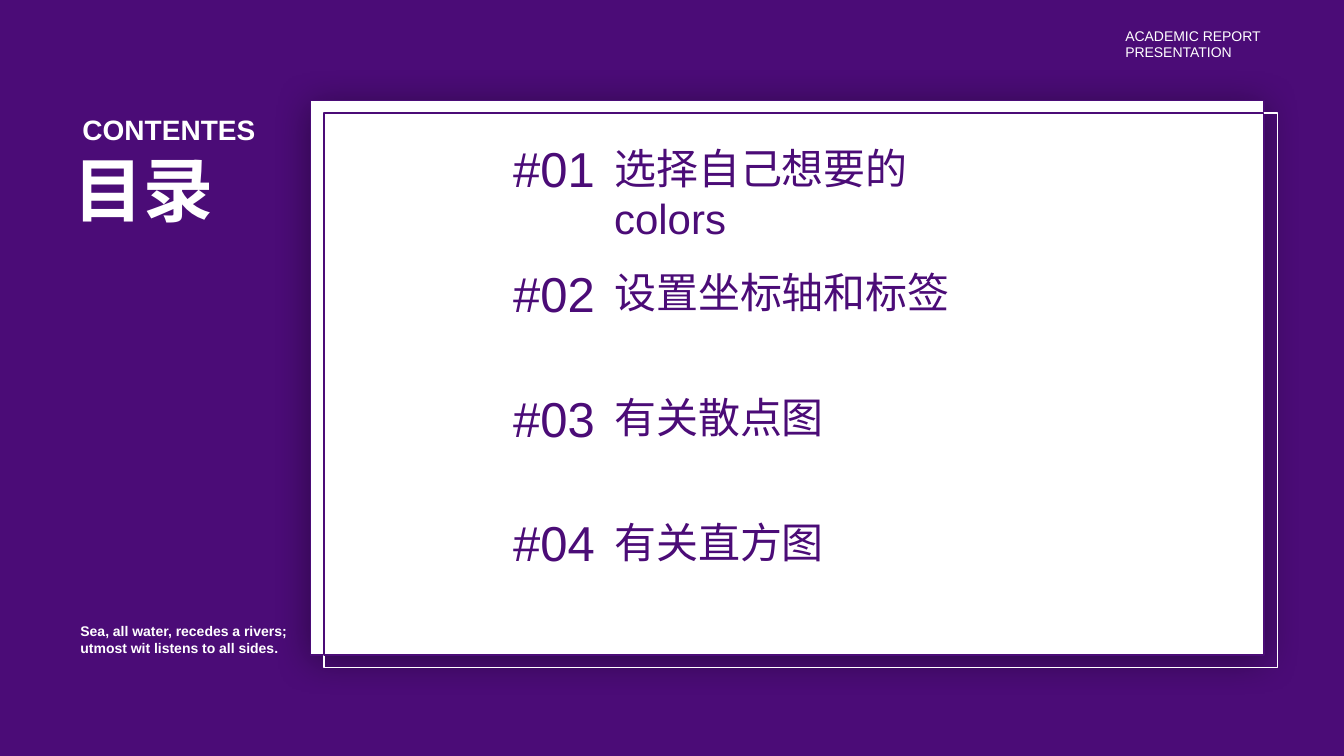
from dataclasses import dataclass

from lxml import etree
from pptx import Presentation
from pptx.dml.color import RGBColor
from pptx.enum.shapes import MSO_SHAPE
from pptx.enum.text import MSO_ANCHOR, MSO_AUTO_SIZE, PP_ALIGN
from pptx.oxml import parse_xml
from pptx.oxml.ns import qn
from pptx.util import Pt

RECTANGLE = MSO_SHAPE.RECTANGLE
LEFT, JUSTIFY = PP_ALIGN.LEFT, PP_ALIGN.JUSTIFY
TOP = MSO_ANCHOR.TOP
NO_AUTOFIT = MSO_AUTO_SIZE.NONE
COMPARISON_LAYOUT = 4  # a title and four body placeholders

PANEL_SHADOW = """
<a:effectLst xmlns:a="http://schemas.openxmlformats.org/drawingml/2006/main">
  <a:outerShdw blurRad="{blur}" dist="{distance}" dir="5400000" algn="t" rotWithShape="0">
    <a:srgbClr val="000000"><a:alpha val="40000"/></a:srgbClr>
  </a:outerShdw>
</a:effectLst>"""


@dataclass(frozen=True)
class Theme:
    font: str = "Arial"
    purple: RGBColor = RGBColor(0x4B, 0x0C, 0x77)
    white: RGBColor = RGBColor(0xFF, 0xFF, 0xFF)
    title: int = 50
    number: int = 35
    topic: int = 30
    subtitle: int = 20
    caption: int = 10


class ContentsSlide:
    """Holds the theme and the slide that the methods draw on."""

    def __init__(self, presentation, theme):
        self.theme = theme
        self.slide = presentation.slides.add_slide(
            presentation.slide_layouts[COMPARISON_LAYOUT])
        background = self.slide.background.fill
        background.solid()
        background.fore_color.rgb = theme.purple

    def rectangle(self, box, line, fill=None):
        shape = self.slide.shapes.add_shape(RECTANGLE, *map(Pt, box))
        shape.shadow.inherit = False
        if fill is None:
            shape.fill.background()
        else:
            shape.fill.solid()
            shape.fill.fore_color.rgb = fill
        shape.line.color.rgb = line
        shape.line.width = Pt(1)
        return shape

    def cast_shadow(self, shape):
        properties = shape.element.spPr
        properties.remove(properties.find(qn("a:effectLst")))
        properties.append(parse_xml(
            PANEL_SHADOW.format(blur=Pt(27), distance=Pt(3))))

    def text(self, box, text, size, color, **options):
        shape = self.slide.shapes.add_textbox(*map(Pt, box))
        self.set_text(shape, text, size, color, **options)

    def placeholder(self, shape, box, text, size, color, **options):
        """Move a placeholder to the front and to its box, then fill it."""
        shape.element.getparent().append(shape.element)
        for name, value in zip(("left", "top", "width", "height"), box):
            setattr(shape, name, Pt(value))
        self.set_text(shape, text, size, color, **options)
        for paragraph in shape.text_frame.paragraphs:
            properties = paragraph._p.get_or_add_pPr()
            properties.set("marL", "0")
            properties.set("indent", "0")
            etree.SubElement(properties, qn("a:buNone"))

    def set_text(self, shape, text, size, color, bold=False, align=LEFT, wrap=False):
        frame = shape.text_frame
        frame.text = text
        frame_format = {
            "margin_left": 0, "margin_top": 0,
            "margin_right": 0, "margin_bottom": 0,
            "word_wrap": wrap, "auto_size": NO_AUTOFIT, "vertical_anchor": TOP,
        }
        paragraph_format = {"alignment": align, "space_before": Pt(0)}
        font_format = {"name": self.theme.font, "size": Pt(size), "bold": bold}
        for name, value in frame_format.items():
            setattr(frame, name, value)
        for paragraph in frame.paragraphs:
            for name, value in paragraph_format.items():
                setattr(paragraph, name, value)
            for run in paragraph.runs:
                for name, value in font_format.items():
                    setattr(run.font, name, value)
                run.font.color.rgb = color


def draw_panel(page):
    theme = page.theme
    left, top, width, height = 221.8, 72, 681, 396
    shift_x, shift_y = 9.8, 8.8
    shifted = (left + shift_x, top + shift_y)
    panel = page.rectangle((left, top, width, height), theme.purple, theme.white)
    page.cast_shadow(panel)
    page.rectangle((*shifted, width, height), theme.white)
    page.rectangle((*shifted, width - shift_x, height - shift_y), theme.purple)


def draw_topics(page, bodies):
    theme = page.theme
    topics = ("选择自己想要的colors", "设置坐标轴和标签", "有关散点图", "有关直方图")
    pitch = 89
    for index, (body, topic) in enumerate(zip(bodies, topics)):
        offset = index * pitch
        page.placeholder(body, (438.6, 101.6 + offset, 288, 36), topic,
                         theme.topic, theme.purple, wrap=True)
        page.text((366.6, 99.2 + offset, 59, 42.4), f"#{index + 1:02d}",
                  theme.number, theme.purple)


def draw_headings(page, title):
    theme = page.theme
    page.placeholder(title, (52.6, 104.4, 101.5, 60.5), "目录",
                     theme.title, theme.white, bold=True)
    page.text((58.9, 80.6, 125, 24.5), "CONTENTES",
              theme.subtitle, theme.white, bold=True)
    page.text((803.8, 19.4, 98, 24.5), "ACADEMIC REPORT\nPRESENTATION",
              theme.caption, theme.white)
    page.text((57.5, 445, 149, 24.5),
              "Sea, all water, recedes a rivers;\nutmost wit listens to all sides.",
              theme.caption, theme.white, bold=True, align=JUSTIFY)


def main():
    presentation = Presentation()
    presentation.slide_width = Pt(960)
    presentation.slide_height = Pt(540)
    page = ContentsSlide(presentation, Theme())
    title, *bodies = list(page.slide.placeholders)
    draw_panel(page)
    draw_topics(page, bodies)
    draw_headings(page, title)
    presentation.save("out.pptx")


if __name__ == "__main__":
    main()
